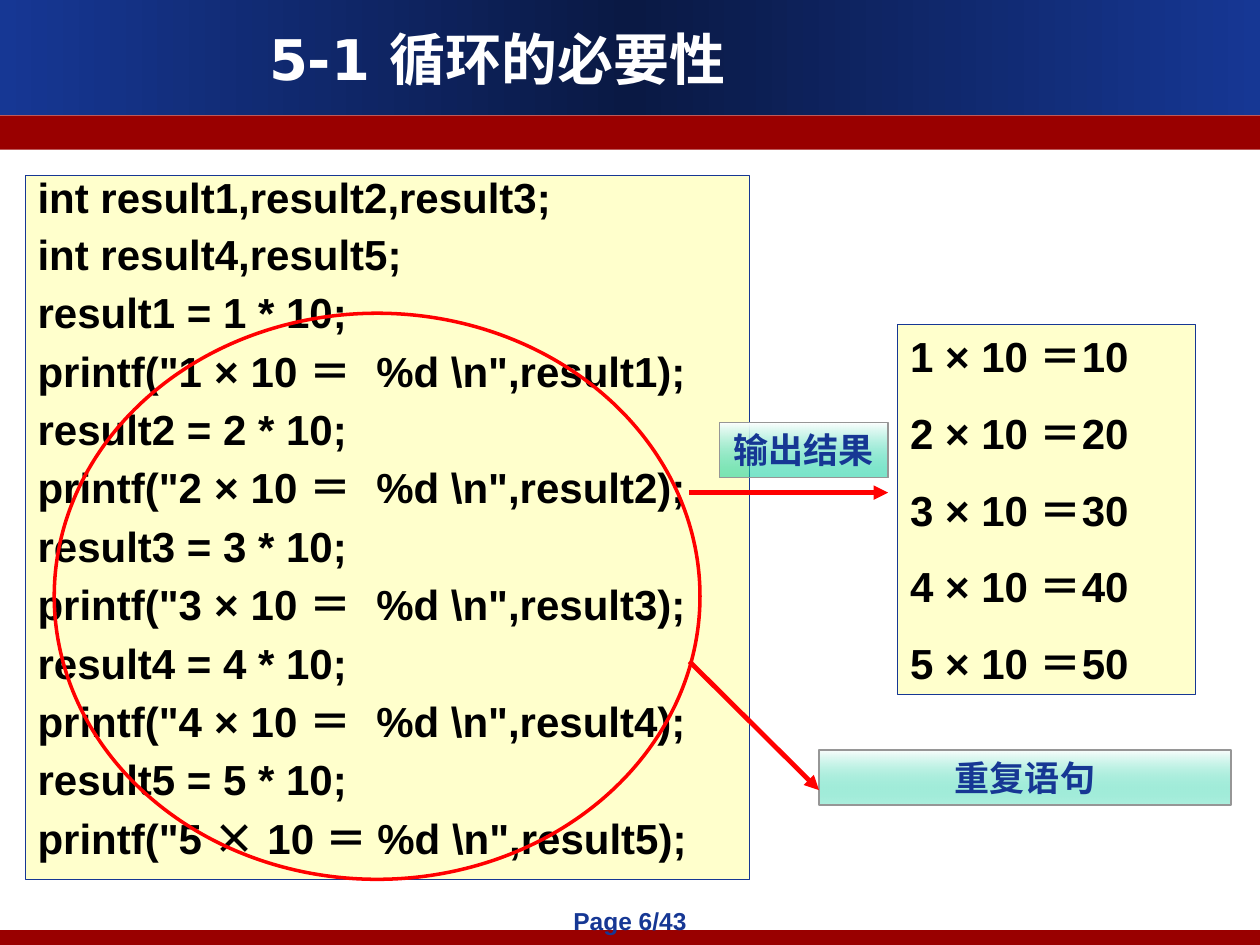
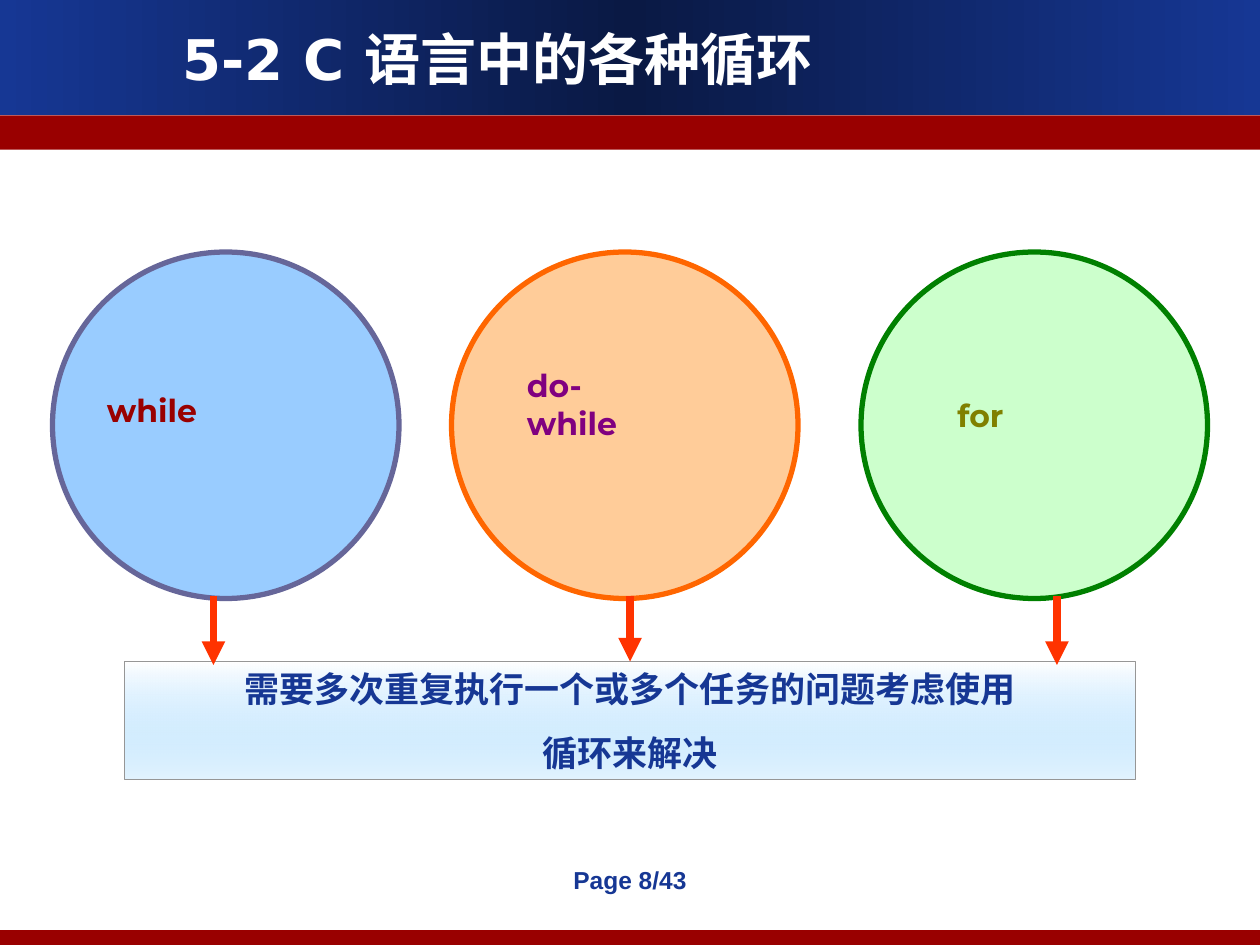
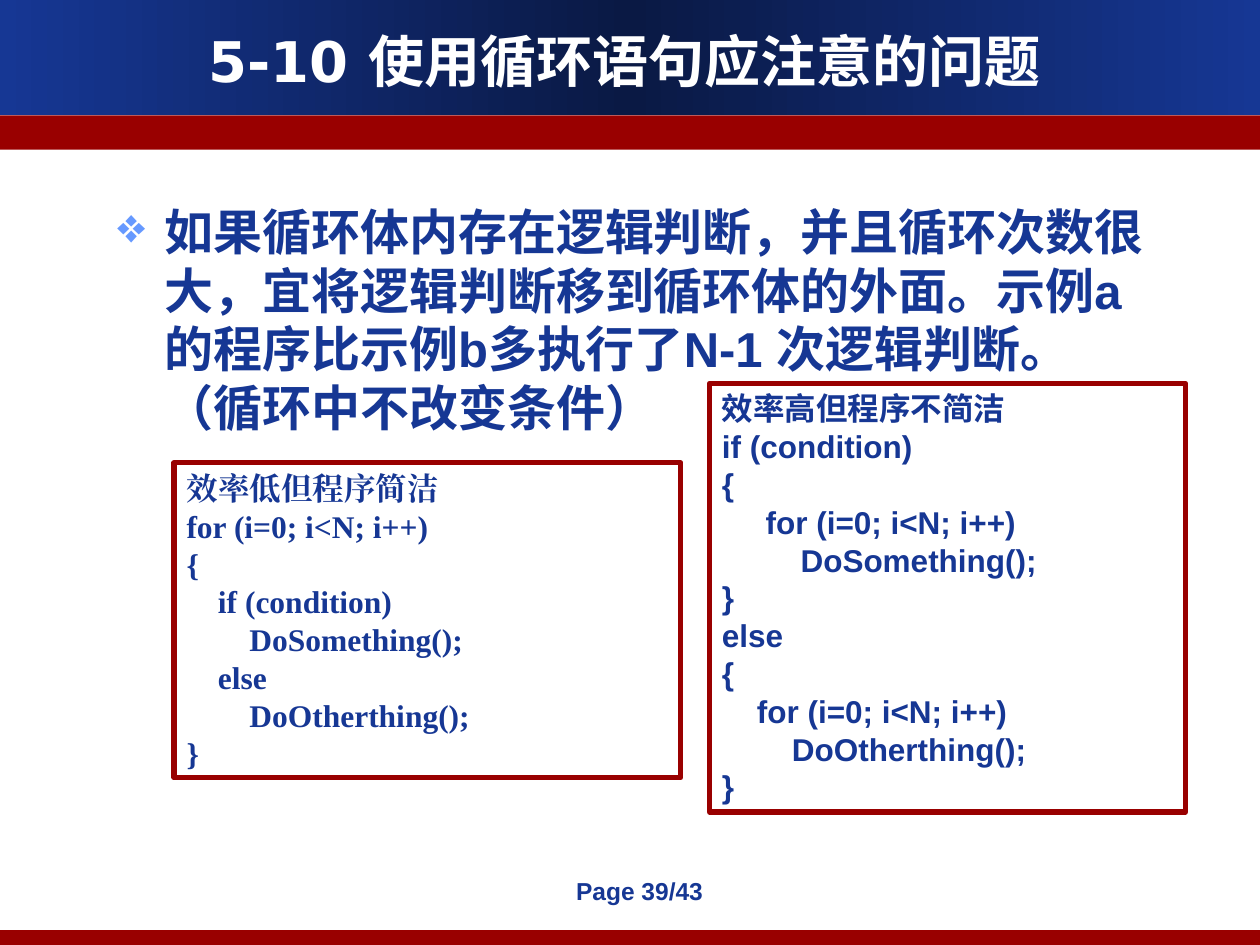
from typing import NamedTuple, Optional

from lxml.etree import SubElement
from pptx import Presentation
from pptx.dml.color import RGBColor
from pptx.enum.shapes import MSO_CONNECTOR, MSO_SHAPE
from pptx.enum.text import MSO_ANCHOR, PP_ALIGN
from pptx.oxml.ns import qn
from pptx.util import Pt

HUES = {
    "blue": "163794", "navy": "0A1944", "maroon": "990000", "white": "FFFFFF",
    "black": "000000", "cream": "FFFFCC", "gray": "969696", "red": "FF0000",
    "flame": "FF3300", "mint": "00CC99", "ice": "76C7FE", "bullet": "6699FF",
    "sky": "99CCFF", "slate": "666699", "peach": "FFCC99", "orange": "FF6600",
    "lime": "CCFFCC", "green": "008000", "purple": "800080", "olive": "808000",
}


class Box(NamedTuple):
    x: float
    y: float
    w: float
    h: float


class Style(NamedTuple):
    size: float
    hue: str = "blue"
    font: str = "Arial"
    align: PP_ALIGN = PP_ALIGN.LEFT
    before: float = 0
    anchor: MSO_ANCHOR = MSO_ANCHOR.TOP
    wrap: bool = True


class Stop(NamedTuple):
    pos: int
    hue: str
    alpha: int = 100


class Loop(NamedTuple):
    name: list
    left: float
    fill: str
    edge: str
    ink: str
    label: Box
    arrow: float


MID = PP_ALIGN.CENTER
TITLE = Style(32, "white", "DejaVu Sans", MID, anchor=MSO_ANCHOR.MIDDLE)
PAGE = Style(14, align=MID)
BODY = Style(28)
CODE = Style(24, "black", before=6)
RESULT = Style(24, "black", before=15)
TAG = Style(20, align=MID, before=12.5)
HANG = 27

LOOPS = [
    Loop(["while"], 30, "sky", "slate", "maroon", Box(54, 198, 144, 72), 122),
    Loop(["do-", "while"], 258, "peach", "orange", "purple",
         Box(294, 180, 132, 102), 360),
    Loop(["for"], 492, "lime", "green", "olive", Box(540, 204, 102, 66), 604),
]

SLOW = """效率低但程序简洁
for (i=0; i<N; i++)
{
    if (condition)
        DoSomething();
    else
        DoOtherthing();
}"""

FAST = """效率高但程序不简洁
if (condition)
{
     for (i=0; i<N; i++)
         DoSomething();
}
else
{
    for (i=0; i<N; i++)
        DoOtherthing();
}"""


def color(hue: str) -> RGBColor:
    return RGBColor.from_string(HUES[hue])


def pts(box: Box) -> list:
    return [Pt(side) for side in box]


def set_font(run, style: Style, face: Optional[str] = None) -> None:
    """Use one typeface for both Latin and East Asian letters."""
    face = face or style.font
    run.font.size, run.font.bold = Pt(style.size), True
    run.font.color.rgb = color(style.hue)
    run.font.name = face
    SubElement(run.font._element, qn("a:ea"), typeface=face)


def write(shape, lines: list, style: Style) -> None:
    frame = shape.text_frame
    frame.text = "\n".join(lines)
    frame.word_wrap = style.wrap
    frame.vertical_anchor = style.anchor
    for row, para in enumerate(frame.paragraphs):
        para.alignment = style.align
        if row:
            para.space_before = Pt(style.before)
        for run in para.runs:
            set_font(run, style)


def add_text(slide, box: Box, lines: list, style: Style):
    shape = slide.shapes.add_textbox(*pts(box))
    write(shape, lines, style)
    return shape


def add_form(slide, box: Box, fill: Optional[str] = None,
             edge: Optional[str] = None, width: float = 0.75,
             kind: MSO_SHAPE = MSO_SHAPE.RECTANGLE):
    shape = slide.shapes.add_shape(kind, *pts(box))
    shape.shadow.inherit = False
    if fill:
        shape.fill.solid()
        shape.fill.fore_color.rgb = color(fill)
    else:
        shape.fill.background()
    if edge:
        shape.line.color.rgb = color(edge)
        shape.line.width = Pt(width)
    else:
        shape.line.fill.background()
    return shape


def blend(shape, stops: list, angle: int) -> None:
    """Fill with a gradient of any number of stops."""
    shape.fill.gradient()
    shape.fill.gradient_angle = angle
    group = shape._element.spPr.find(".//" + qn("a:gsLst"))
    for old in list(group):
        group.remove(old)
    for stop in stops:
        mark = SubElement(group, qn("a:gs"), pos=str(stop.pos * 1000))
        tint = SubElement(mark, qn("a:srgbClr"), val=HUES[stop.hue])
        if stop.alpha < 100:
            SubElement(tint, qn("a:alpha"), val=str(stop.alpha * 1000))


def add_tag(slide, box: Box, lines: list, tint: Stop) -> None:
    """Draw a captioned box that fades from white to the tint."""
    shape = add_form(slide, box, edge="gray")
    blend(shape, [Stop(0, "white"), tint], 270)
    write(shape, lines, TAG)
    return shape


def add_arrow(slide, start: tuple, end: tuple, hue: str, width: float):
    arrow = slide.shapes.add_connector(
        MSO_CONNECTOR.STRAIGHT, *[Pt(spot) for spot in start + end])
    arrow.line.color.rgb = color(hue)
    arrow.line.width = Pt(width)
    SubElement(arrow.line._get_or_add_ln(), qn("a:tailEnd"), type="triangle")
    SubElement(arrow._element.spPr, qn("a:effectLst"))
    return arrow


def hang(para) -> None:
    props = para._p.get_or_add_pPr()
    props.set("marL", str(Pt(HANG)))
    props.set("indent", str(-Pt(HANG)))


def add_slide(deck, title: str, place: Box):
    """Start a slide with the shared bands and title."""
    slide = deck.slides.add_slide(deck.slide_layouts[6])
    banner = add_form(slide, Box(0, 0, 720, 65.5))
    blend(banner, [Stop(0, "blue"), Stop(50, "navy"), Stop(100, "blue")], 180)
    for top, tall in ((66, 19.5), (531.5, 9)):
        add_form(slide, Box(0, top, 720, tall), "maroon")
    add_text(slide, place, [title], TITLE)
    return slide


def add_page(slide, number: int, box: Box) -> None:
    add_text(slide, box, [f"Page {number}/43"], PAGE)


def add_code(slide) -> None:
    """Draw the listing, with the signs of each printf in their own font."""
    lines = ["int result1,result2,result3;", "int result4,result5;"]
    for num in range(1, 6):
        lines += [f"result{num} = {num} * 10;", ""]
    shape = add_form(slide, Box(14.4, 100, 414, 402.5), "cream", "blue", 0.25)
    write(shape, lines, CODE)
    paras = shape.text_frame.paragraphs
    for row, para in enumerate(paras):
        hang(para)
        para.line_spacing = 0.95 if row else 0.8
    for num, para in enumerate(paras[3::2], 1):
        sign = "Courier New" if num < 5 else "Noto Sans CJK SC"
        parts = [f'printf("{num} ', "×", " 10 ", "＝ ", f'%d \\n",result{num});']
        for spot, part in enumerate(parts):
            run = para.add_run()
            run.text = part
            set_font(run, CODE, sign if spot % 2 else None)


def need_slide(deck) -> None:
    slide = add_slide(deck, "5-1 循环的必要性", Box(14.4, 0, 540, 66))
    add_code(slide)
    output = add_form(slide, Box(513, 185.5, 170, 211.5), "cream", "blue")
    write(output, [f"{num} × 10 ＝{num * 10}" for num in range(1, 6)], RESULT)
    add_tag(slide, Box(411, 241.5, 96.5, 31.5), ["输出结果"],
            Stop(100, "mint", 51))
    add_form(slide, Box(31, 179, 369, 323.5), edge="red", width=2,
             kind=MSO_SHAPE.OVAL)
    add_arrow(slide, (399.5, 366.5), (399.5, 366.5), "blue", 0.75)
    add_tag(slide, Box(468, 428.5, 235.5, 31.5), ["重复语句"],
            Stop(100, "mint", 31))
    add_arrow(slide, (394, 378), (468, 451.5), "red", 2.75)
    add_arrow(slide, (394, 281.5), (507.5, 281.5), "red", 2.75)
    add_page(slide, 6, Box(303, 514, 114, 41))


def kinds_slide(deck) -> None:
    slide = add_slide(deck, "5-2 C 语言中的各种循环", Box(14.4, 0, 540, 66))
    for loop in LOOPS:
        add_form(slide, Box(loop.left, 144, 198, 198), loop.fill, loop.edge, 3,
                 MSO_SHAPE.OVAL)
        add_text(slide, loop.label, loop.name,
                 Style(18, loop.ink, "Montserrat", anchor=MSO_ANCHOR.MIDDLE,
                       wrap=False))
    advice = add_tag(slide, Box(71, 378, 578, 67.5),
                     ["需要多次重复执行一个或多个任务的问题考虑使用", "循环来解决"],
                     Stop(100, "ice", 20))
    for loop in LOOPS:
        arrow = add_arrow(slide, (loop.arrow, 340.5), (loop.arrow, 380),
                          "flame", 4.5)
        if loop.arrow == 360:
            arrow.end_connect(advice, 0)
    add_page(slide, 8, Box(292, 491, 136, 41))


def care_slide(deck) -> None:
    slide = add_slide(deck, "5-10 使用循环语句应注意的问题",
                      Box(24, 11.5, 666, 45.5))
    advice = add_text(slide, Box(60, 111.5, 612.5, 348), [
        "如果循环体内存在逻辑判断，并且循环次数很大，宜将逻辑判断移到循环体的外面。"
        "示例a的程序比示例b多执行了N-1 次逻辑判断。（循环中不改变条件）"], BODY)
    para = advice.text_frame.paragraphs[0]
    hang(para)
    props = para._p.get_or_add_pPr()
    tint = SubElement(props, qn("a:buClr"))
    SubElement(tint, qn("a:srgbClr"), val=HUES["bullet"])
    SubElement(props, qn("a:buChar"), char="❖")
    for box, code, font in (
            (Box(99.5, 264.5, 289.5, 180), SLOW, "Times New Roman"),
            (Box(405.5, 219, 272, 245), FAST, "Arial")):
        panel = add_form(slide, box, "white", "maroon", 3)
        write(panel, code.split("\n"), Style(18, font=font))
    add_page(slide, 39, Box(309, 497, 113, 41))


def main() -> None:
    deck = Presentation()
    deck.slide_width, deck.slide_height = Pt(720), Pt(540)
    need_slide(deck)
    kinds_slide(deck)
    care_slide(deck)
    deck.save("out.pptx")


if __name__ == "__main__":
    main()
